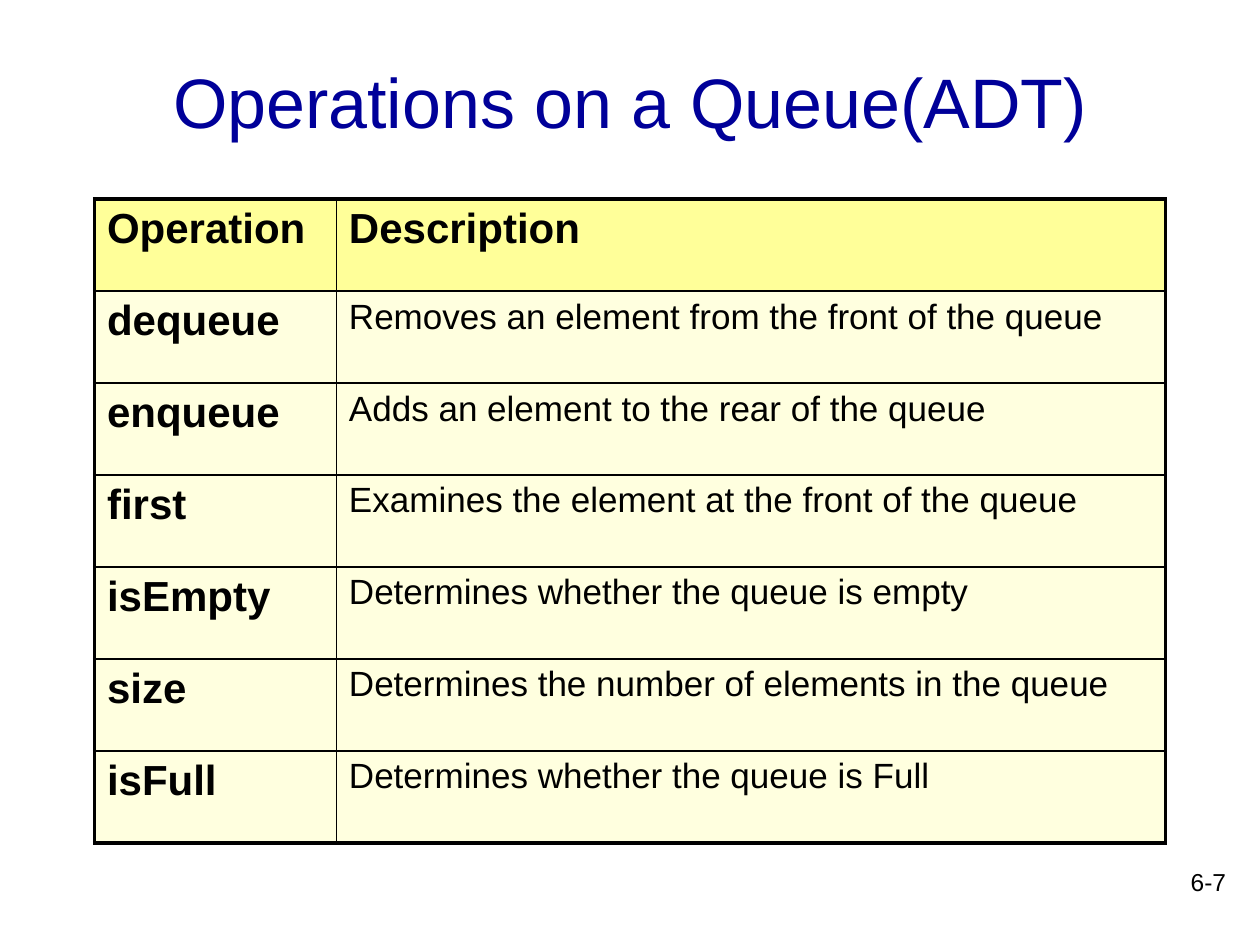
import pptx
import pptx.dml.color
import pptx.enum.text
import pptx.oxml.ns
import pptx.util
from lxml import etree
from pptx.util import Inches

BLACK = pptx.dml.color.RGBColor(0x00, 0x00, 0x00)
NAVY = pptx.dml.color.RGBColor(0x00, 0x00, 0x99)
HEADER_YELLOW = pptx.dml.color.RGBColor(0xFF, 0xFF, 0x99)
BODY_CREAM = pptx.dml.color.RGBColor(0xFF, 0xFF, 0xDF)

LEFT = pptx.enum.text.PP_ALIGN.LEFT
CENTER = pptx.enum.text.PP_ALIGN.CENTER
RIGHT = pptx.enum.text.PP_ALIGN.RIGHT
TOP = pptx.enum.text.MSO_ANCHOR.TOP
MIDDLE = pptx.enum.text.MSO_ANCHOR.MIDDLE

OPERATIONS = [
    ("Operation", "Description"),
    ("dequeue", "Removes an element from the front of the queue"),
    ("enqueue", "Adds an element to the rear of the queue"),
    ("first", "Examines the element at the front of the queue"),
    ("isEmpty", "Determines whether the queue is empty"),
    ("size", "Determines the number of elements in the queue"),
    ("isFull", "Determines whether the queue is Full"),
]


class SlideBuilder:
    """Hold the style and current slide, and add its elements."""

    font = "Arial"
    outer_line = 2.25
    inner_line = 1

    def __init__(self, slide):
        self.slide = slide

    def add_run(self, text_frame, text, size, color=BLACK, bold=False, align=LEFT):
        paragraph = text_frame.paragraphs[0]
        paragraph.alignment = align
        run = paragraph.add_run()
        run.text = text
        run.font.name = self.font
        run.font.size = pptx.util.Pt(size)
        run.font.bold = bold
        run.font.color.rgb = color

    def add_text(self, left, top, width, height, text, size, color, align, anchor=TOP):
        box = self.slide.shapes.add_textbox(
            Inches(left), Inches(top), Inches(width), Inches(height))
        box.text_frame.word_wrap = True
        box.text_frame.vertical_anchor = anchor
        self.add_run(box.text_frame, text, size, color, align=align)

    def add_border(self, cell, side, width):
        properties = cell._tc.get_or_add_tcPr()
        line = etree.SubElement(
            properties, pptx.oxml.ns.qn("a:ln" + side), w=str(pptx.util.Pt(width)))
        fill = etree.SubElement(line, pptx.oxml.ns.qn("a:solidFill"))
        etree.SubElement(fill, pptx.oxml.ns.qn("a:srgbClr"), val=str(BLACK))

    def add_table(self, left, top, column_widths, row_height, rows):
        last_row, last_column = len(rows) - 1, len(column_widths) - 1
        table = self.slide.shapes.add_table(
            len(rows), len(column_widths), Inches(left), Inches(top),
            Inches(sum(column_widths)), Inches(row_height * len(rows))).table
        for column, width in zip(table.columns, column_widths):
            column.width = Inches(width)
        for row_index, texts in enumerate(rows):
            for column_index, text in enumerate(texts):
                cell = table.cell(row_index, column_index)
                outer_sides = {
                    "L": column_index == 0,
                    "R": column_index == last_column,
                    "T": row_index == 0,
                    "B": row_index == last_row,
                }
                for side, is_outer in outer_sides.items():
                    self.add_border(cell, side, self.outer_line if is_outer else self.inner_line)
                is_header = row_index == 0
                is_heading = is_header or column_index == 0
                cell.fill.solid()
                cell.fill.fore_color.rgb = HEADER_YELLOW if is_header else BODY_CREAM
                self.add_run(cell.text_frame, text, 24 if is_heading else 20, bold=is_heading)


presentation = pptx.Presentation()
presentation.slide_width = Inches(10)
presentation.slide_height = Inches(7.5)
builder = SlideBuilder(presentation.slides.add_slide(presentation.slide_layouts[6]))
builder.add_text(7.75, 6.83, 2.08, 0.5, "6-7", 14, BLACK, RIGHT)
builder.add_text(0.75, 0.17, 8.5, 1.25, "Operations on a Queue(ADT)", 40, NAVY, CENTER, MIDDLE)
builder.add_table(0.75, 1.58, [1.92, 6.58], 0.73, OPERATIONS)
presentation.save("out.pptx")
